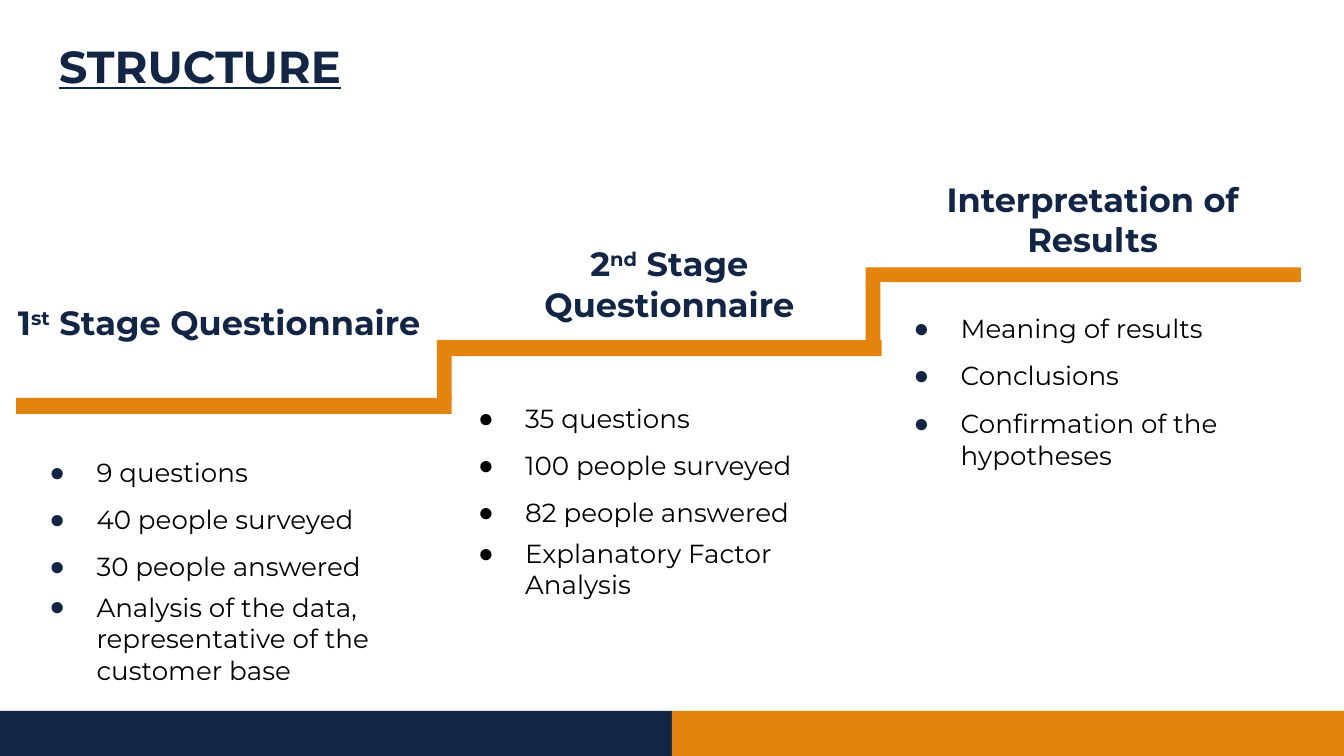
from lxml import etree
from pptx import Presentation
from pptx import util as u
from pptx.dml.color import RGBColor
from pptx.enum import shapes, text
from pptx.oxml.ns import qn

COLORS = {"navy": "122544", "orange": "E4830E", "black": "000000", "white": "FFFFFF"}
FONT = "Montserrat"

# Widescreen page, 16 to 9
deck = Presentation()
deck.slide_width = u.Inches(10)
deck.slide_height = u.Inches(10 * 9 / 16)
page = deck.slides.add_slide(deck.slide_layouts[6])
page.background.fill.solid()
page.background.fill.fore_color.rgb = RGBColor.from_string(COLORS["white"])


def add_bar(left, top, width, height, color):
    bar = page.shapes.add_shape(
        shapes.MSO_SHAPE.RECTANGLE, *map(u.Inches, (left, top, width, height)))
    bar.shadow.inherit = False
    bar.fill.solid()
    bar.fill.fore_color.rgb = RGBColor.from_string(COLORS[color])
    bar.line.fill.background()


def add_text_box(left, top, width, height):
    box = page.shapes.add_textbox(*map(u.Inches, (left, top, width, height)))
    frame = box.text_frame
    frame.word_wrap = True
    frame.margin_left = frame.margin_right = u.Inches(0.1)
    frame.margin_top = frame.margin_bottom = u.Inches(0.1)
    return frame


# Stages: step bar, heading box and runs, list box, bullet colour,
# space before the last item, items
stages = [
    ((0.12, 2.96, 3.24, 0.12), (0.02, 2.15, 3.22, 0.68),
     ["1", "st", " Stage Questionnaire"], (0.12, 3.18, 3.33, 1.92), "navy", 5,
     ["9 questions", "40 people surveyed", "30 people answered",
      "Analysis of the data, representative of the customer base"]),
    ((3.32, 2.53, 3.24, 0.12), (3.74, 1.71, 2.48, 0.95),
     ["2", "nd", " Stage Questionnaire"], (3.31, 2.78, 3.24, 2.06), "black", 5,
     ["35 questions", "100 people surveyed", "82 people answered",
      "Explanatory Factor Analysis"]),
    ((6.44, 1.99, 3.24, 0.11), (6.73, 1.23, 2.8, 0.75),
     ["Interpretation of Results"], (6.55, 2.11, 3.24, 3.06), "navy", 9,
     ["Meaning of results", "Conclusions", "Confirmation of the hypotheses"]),
]

# Risers between the steps
for left, top in [(3.25, 2.53), (6.44, 2.09)]:
    add_bar(left, top, 0.11, 0.45, "orange")

for step, heading_area, heading, list_area, bullet_color, gap, items in stages:
    add_bar(*step, "orange")

    # Heading, with the ordinal ending raised
    para = add_text_box(*heading_area).paragraphs[0]
    para.alignment = text.PP_ALIGN.CENTER
    para.space_after = u.Pt(16)
    for index, words in enumerate(heading):
        span = para.add_run()
        span.text = words
        span.font.name, span.font.size, span.font.bold = FONT, u.Pt(18), True
        span.font.color.rgb = RGBColor.from_string(COLORS["navy"])
        if index == 1:
            span.font._element.set("baseline", "30000")

    # Bulleted list; the last item is set solid
    frame = add_text_box(*list_area)
    for index, item in enumerate(items):
        para = frame.add_paragraph() if index else frame.paragraphs[0]
        if item == items[-1]:
            para.line_spacing, para.space_before = 1.0, u.Pt(gap)
        else:
            para.line_spacing = 1.5
        props = para._p.get_or_add_pPr()
        props.set("marL", str(u.Inches(0.5)))
        props.set("indent", str(u.Inches(-0.35)))
        tint = etree.SubElement(props, qn("a:buClr"))
        etree.SubElement(tint, qn("a:srgbClr"), val=COLORS[bullet_color])
        etree.SubElement(props, qn("a:buFont"), typeface="Arial")
        etree.SubElement(props, qn("a:buChar"), char="●")
        span = para.add_run()
        span.text = item
        span.font.name, span.font.size = FONT, u.Pt(14)
        span.font.color.rgb = RGBColor.from_string(COLORS["black"])

# Footer band
for left, color in [(0, "navy"), (5, "orange")]:
    add_bar(left, 5.29, 5, 0.34, color)

# Title
frame = add_text_box(0.34, 0.32, 7.47, 0.47)
frame.vertical_anchor = text.MSO_ANCHOR.BOTTOM
span = frame.paragraphs[0].add_run()
span.text = "STRUCTURE"
span.font.name, span.font.size = FONT, u.Pt(24)
span.font.bold = span.font.underline = True
span.font.color.rgb = RGBColor.from_string(COLORS["navy"])

deck.save("out.pptx")
